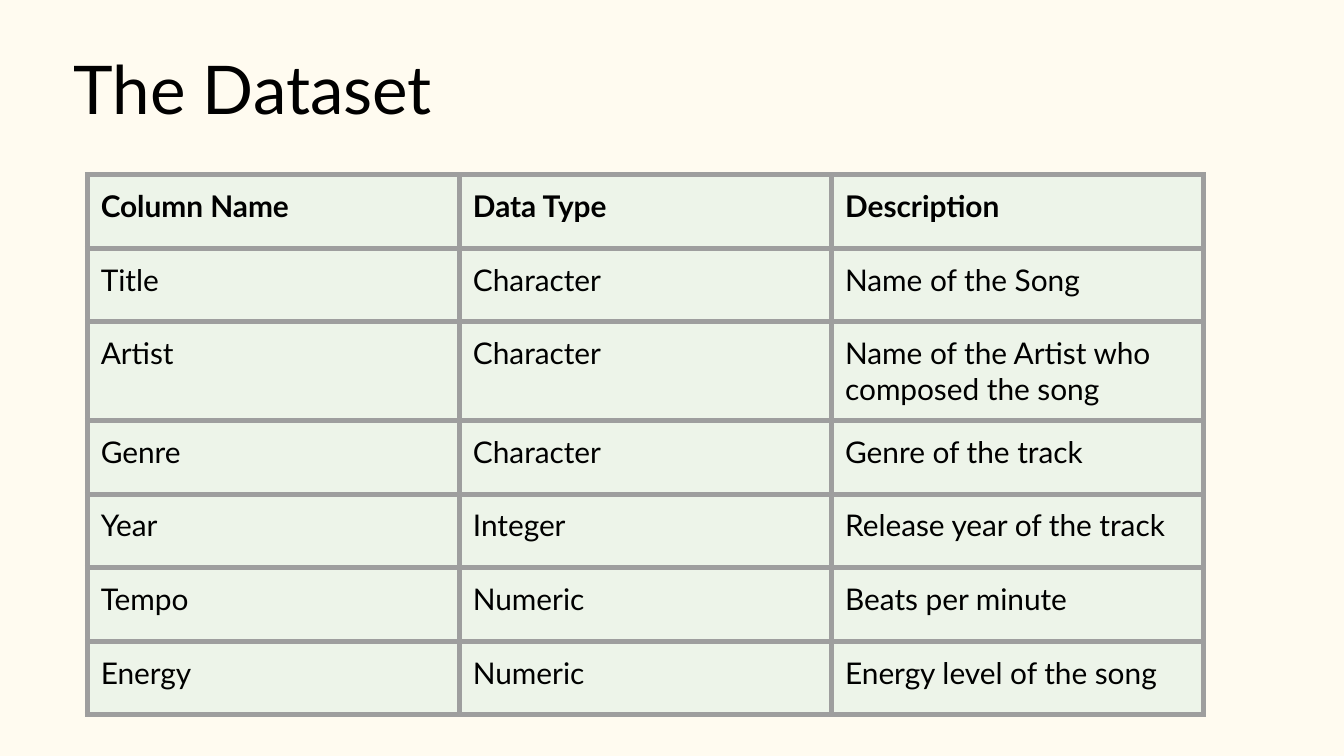
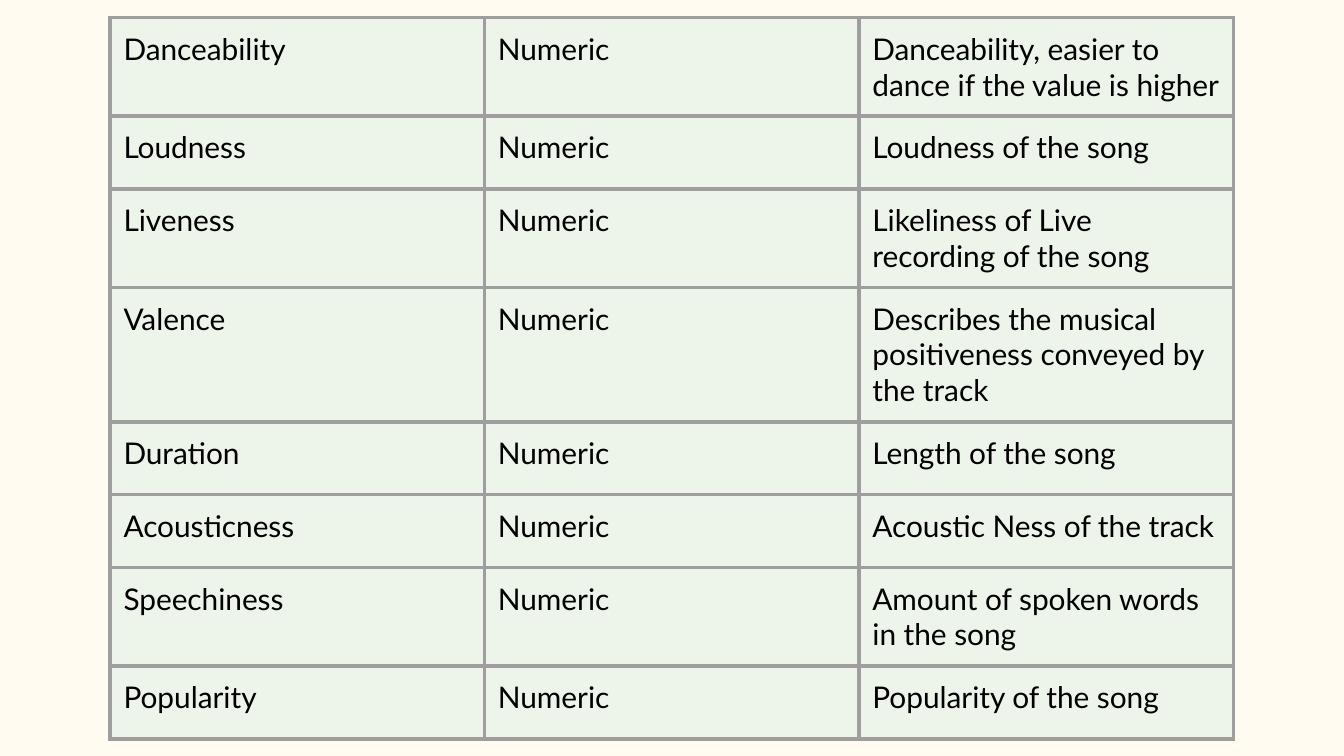
from dataclasses import dataclass

from lxml import etree
from pptx import Presentation
from pptx.dml.color import RGBColor
from pptx.enum import text
from pptx.oxml import ns
from pptx.util import Pt

CREAM = RGBColor(0xFF, 0xFB, 0xF0)
TEAL = RGBColor(0x26, 0xA6, 0x9A)
GREY = RGBColor(0x9E, 0x9E, 0x9E)
BLACK = RGBColor(0x00, 0x00, 0x00)
FONT = "Lato"
INSET = Pt(7.2)
TEAL_OPACITY = 8  # percent


@dataclass(frozen=True)
class FieldTable:
    left: float
    top: float
    height: float
    column_width: float
    row_height: float
    border: float
    rows: list[tuple[str, str, str]]
    has_header: bool = False


MAIN_FIELDS = FieldTable(
    left=46.8, top=93.6, height=289.4, column_width=199.4, row_height=39.45,
    border=3, has_header=True,
    rows=[
        ("Column Name", "Data Type", "Description"),
        ("Title", "Character", "Name of the Song"),
        ("Artist", "Character", "Name of the Artist who composed the song"),
        ("Genre", "Character", "Genre of the track"),
        ("Year", "Integer", "Release year of the track"),
        ("Tempo", "Numeric", "Beats per minute"),
        ("Energy", "Numeric", "Energy level of the song"),
    ],
)
AUDIO_FIELDS = FieldTable(
    left=59, top=9.4, height=385.9, column_width=200.6, row_height=39,
    border=2.25,
    rows=[(name, "Numeric", description) for name, description in (
        ("Danceability", "Danceability, easier to dance if the value is higher"),
        ("Loudness", "Loudness of the song"),
        ("Liveness", "Likeliness of Live recording of the song"),
        ("Valence", "Describes the musical positiveness conveyed by the track"),
        ("Duration", "Length of the song"),
        ("Acousticness", "Acoustic Ness of the track"),
        ("Speechiness", "Amount of spoken words in the song"),
        ("Popularity", "Popularity of the song"),
    )],
)


def add_page(deck):
    page = deck.slides.add_slide(deck.slide_layouts[6])
    page.background.fill.solid()
    page.background.fill.fore_color.rgb = CREAM
    return page


def write(frame, content: str, *, size: float, bold: bool = False) -> None:
    frame.word_wrap = True
    span = frame.paragraphs[0].add_run()
    span.text = content
    span.font.name = FONT
    span.font.size = Pt(size)
    span.font.bold = bold
    span.font.color.rgb = BLACK


def set_insets(holder) -> None:
    """Give a text frame or a table cell the shared inner margins."""
    holder.margin_left = holder.margin_right = INSET
    holder.margin_top = holder.margin_bottom = INSET


def add_title(page, content: str) -> None:
    box = page.shapes.add_textbox(Pt(32.4), Pt(18), Pt(640.8), Pt(58.3))
    set_insets(box.text_frame)
    write(box.text_frame, content, size=36)
    box.text_frame.auto_size = text.MSO_AUTO_SIZE.SHAPE_TO_FIT_TEXT


def style_cell(cell, border: float) -> None:
    """Apply the translucent teal fill and a grey line on all four sides."""
    set_insets(cell)
    cell.vertical_anchor = text.MSO_ANCHOR.TOP
    cell.fill.solid()
    cell.fill.fore_color.rgb = TEAL
    properties = cell._tc.get_or_add_tcPr()
    colour = properties.find(".//" + ns.qn("a:srgbClr"))
    etree.SubElement(colour, ns.qn("a:alpha"), val=str(TEAL_OPACITY * 1000))
    for position, side in enumerate(("lnL", "lnR", "lnT", "lnB")):
        line = etree.Element(ns.qn(f"a:{side}"), w=str(Pt(border)))
        paint = etree.SubElement(line, ns.qn("a:solidFill"))
        etree.SubElement(paint, ns.qn("a:srgbClr"), val=str(GREY))
        etree.SubElement(line, ns.qn("a:prstDash"), val="solid")
        properties.insert(position, line)


def add_field_table(page, fields: FieldTable) -> None:
    column_count = len(fields.rows[0])
    holder = page.shapes.add_table(
        len(fields.rows), column_count, Pt(fields.left), Pt(fields.top),
        Pt(fields.column_width * column_count), Pt(fields.height))
    table = holder.table
    table.first_row = table.horz_banding = False
    for column in table.columns:
        column.width = Pt(fields.column_width)
    for number, (row, values) in enumerate(zip(table.rows, fields.rows)):
        row.height = Pt(fields.row_height)
        for cell, value in zip(row.cells, values):
            style_cell(cell, fields.border)
            write(cell.text_frame, value, size=16,
                  bold=fields.has_header and number == 0)
    holder.height = Pt(fields.height)


def main() -> None:
    deck = Presentation()
    deck.slide_width, deck.slide_height = Pt(720), Pt(405)
    dataset_page = add_page(deck)
    add_title(dataset_page, "The Dataset")
    add_field_table(dataset_page, MAIN_FIELDS)
    add_field_table(add_page(deck), AUDIO_FIELDS)
    deck.save("out.pptx")


if __name__ == "__main__":
    main()
